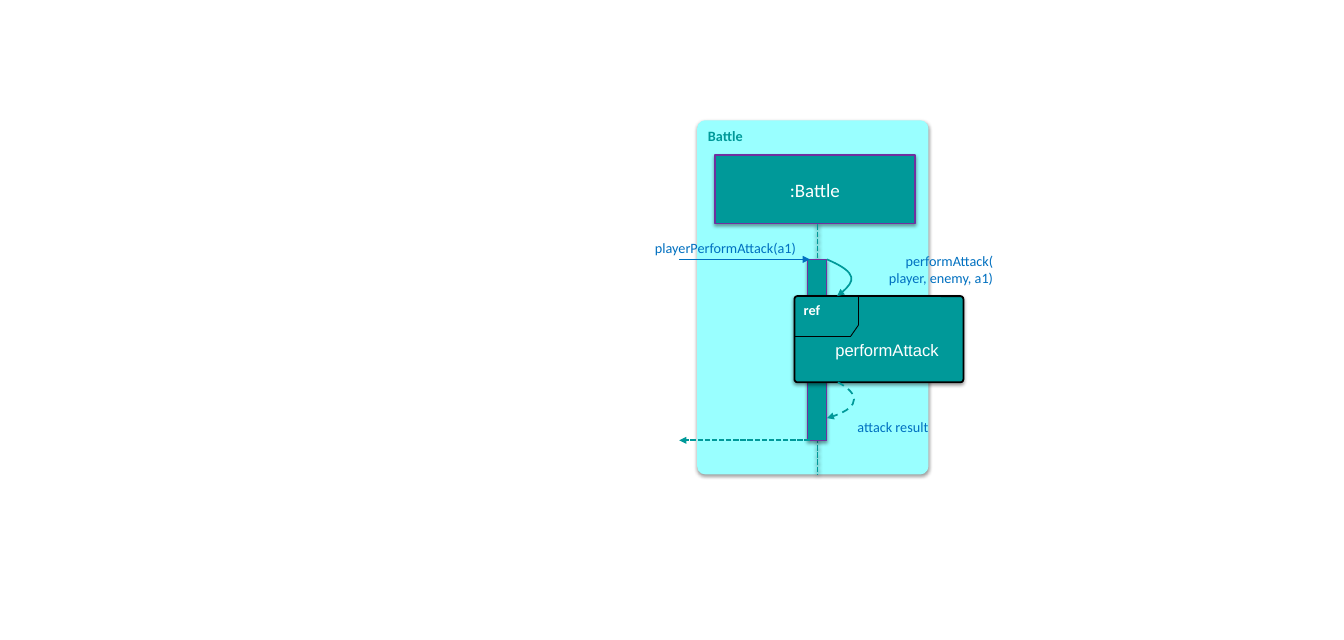
"""Draw the Battle sequence diagram as one slide."""
from dataclasses import dataclass
from itertools import pairwise

from lxml.etree import SubElement
from pptx import Presentation
from pptx.dml.color import RGBColor
from pptx.enum.dml import MSO_LINE
from pptx.enum.shapes import MSO_CONNECTOR, MSO_SHAPE
from pptx.enum.text import MSO_ANCHOR, PP_ALIGN
from pptx.oxml.ns import qn
from pptx.util import Pt

PX = 9144


@dataclass(frozen=True)
class Theme:
    """Colours, fonts and type sizes of the slide."""
    teal: str = "009999"
    pale: str = "99FFFF"
    purple: str = "7030A0"
    blue: str = "0070C0"
    black: str = "000000"
    white: str = "FFFFFF"
    body: str = "Calibri"
    plain: str = "Arial"
    small: int = 12
    medium: int = 14
    large: int = 16


T = Theme()


def px(*values):
    """Turn px lengths into EMU."""
    return [v * PX for v in values]


def set_all(obj, **values):
    """Set each given attribute on an object."""
    for name, value in values.items():
        setattr(obj, name, value)


def add_effects(sp, shadow):
    """Give a shape or connector a soft shadow, or none."""
    effects = SubElement(sp._element.spPr, qn("a:effectLst"))
    if shadow:
        outer = SubElement(effects, qn("a:outerShdw"), blurRad=str(Pt(3.1)),
                           dist=str(Pt(1.6)), dir="5400000", rotWithShape="0")
        clr = SubElement(outer, qn("a:srgbClr"), val=T.black)
        SubElement(clr, qn("a:alpha"), val="38000")


def style_line(sp, color, width, dash=None, head=False):
    """Format an outline, with an optional dash and end arrow."""
    sp.line.color.rgb = RGBColor.from_string(color)
    set_all(sp.line, width=Pt(width), dash_style=dash)
    if head:
        ln = sp._element.spPr.find(qn("a:ln"))
        SubElement(ln, qn("a:tailEnd"), type="triangle")


def write(sp, text, size, color, font=T.body, bold=False, align=PP_ALIGN.LEFT,
          anchor=MSO_ANCHOR.TOP, inset=(10, 5)):
    """Fill a text frame, one paragraph for each line."""
    tf = sp.text_frame
    side, end = px(*inset)
    set_all(tf, word_wrap=True, vertical_anchor=anchor, margin_left=side,
            margin_right=side, margin_top=end, margin_bottom=end)
    tf.text = text
    for p in tf.paragraphs:
        p.alignment = align
        set_all(p.runs[0].font, name=font, size=Pt(size), bold=bold)
        p.runs[0].font.color.rgb = RGBColor.from_string(color)


def add_box(s, kind, at, fill, line=None):
    """Add a filled shape with a shadow; line is a colour and a width."""
    sp = s.shapes.add_shape(kind, *px(*at))
    if kind == MSO_SHAPE.ROUNDED_RECTANGLE:
        sp.adjustments[0] = 0.035
    sp.fill.solid()
    sp.fill.fore_color.rgb = RGBColor.from_string(fill)
    if line:
        style_line(sp, *line)
    else:
        sp.line.fill.background()
    add_effects(sp, shadow=True)
    return sp


def add_label(s, at, text, size=T.small, color=T.blue, **fmt):
    """Add a text box."""
    write(s.shapes.add_textbox(*px(*at)), text, size, color, **fmt)


def add_line(s, start, end, color, width, shadow=False, **fmt):
    """Add a straight line between two points."""
    cxn = s.shapes.add_connector(MSO_CONNECTOR.STRAIGHT, *px(*start, *end))
    style_line(cxn, color, width, **fmt)
    add_effects(cxn, shadow)


def add_curve(s, start, *points, **fmt):
    """Add a Bezier arrow through two control points to an end point."""
    fb = s.shapes.build_freeform(*start, scale=PX)
    fb.add_line_segments(points, close=False)
    sp = fb.convert_to_shape()
    path = next(sp._element.iter(qn("a:path")))
    bezier = SubElement(path, qn("a:cubicBezTo"))
    for segment in path.findall(qn("a:lnTo")):
        bezier.append(segment[0])
        path.remove(segment)
    sp.fill.background()
    style_line(sp, T.teal, 1.45, head=True, **fmt)
    add_effects(sp, shadow=False)


def add_participant(s):
    """Add the Battle frame, its header, lifeline and activation bar."""
    sp = add_box(s, MSO_SHAPE.ROUNDED_RECTANGLE, (817, 141, 271, 415), T.pale)
    write(sp, "Battle", T.small, T.teal, bold=True)
    sp = add_box(s, MSO_SHAPE.RECTANGLE, (838, 182, 234, 80), T.teal,
                 (T.purple, 1.5))
    write(sp, ":Battle", T.large, T.white, align=PP_ALIGN.CENTER,
          anchor=MSO_ANCHOR.MIDDLE)
    add_line(s, (958, 263), (958, 556), T.teal, 1.5, shadow=True,
             dash=MSO_LINE.SQUARE_DOT)
    add_box(s, MSO_SHAPE.RECTANGLE, (946, 304, 23, 212), T.teal,
            (T.purple, 0.75))


def add_reference(s):
    """Add the ref frame with its corner tab."""
    sp = add_box(s, MSO_SHAPE.ROUNDED_RECTANGLE, (931, 347, 198, 101), T.teal,
                 (T.black, 1.5))
    write(sp, "ref", T.small, T.white, bold=True)
    tab = (931, 394), (997, 394), (1006, 381), (1006, 347)
    for start, end in pairwise(tab):
        add_line(s, start, end, T.black, 0.75)
    add_label(s, (969, 383, 198, 53), "performAttack", T.medium, T.white,
              font=T.plain, anchor=MSO_ANCHOR.MIDDLE)


def main():
    """Build and save the slide."""
    prs = Presentation()
    set_all(prs, slide_width=1575 * PX, slide_height=750 * PX)
    s = prs.slides.add_slide(prs.slide_layouts[6])
    add_participant(s)
    add_line(s, (796, 304), (949, 304), T.blue, 1.5, head=True)
    add_line(s, (949, 516), (796, 516), T.teal, 1.5,
             dash=MSO_LINE.SQUARE_DOT, head=True)
    add_reference(s)
    add_curve(s, (969, 304), (1007, 320), (1000, 333), (981, 347))
    add_curve(s, (982, 448), (1005, 460), (1012, 478), (969, 490),
              dash=MSO_LINE.DASH)
    for at, text in (
        ((695, 281, 238, 20), "playerPerformAttack(a1)"),
        ((991, 296, 173, 98), "performAttack(\nplayer, enemy, a1)"),
        ((850, 490, 238, 20), "attack result"),
    ):
        add_label(s, at, text, align=PP_ALIGN.RIGHT, inset=(0, 0))
    prs.save("out.pptx")


if __name__ == "__main__":
    main()
